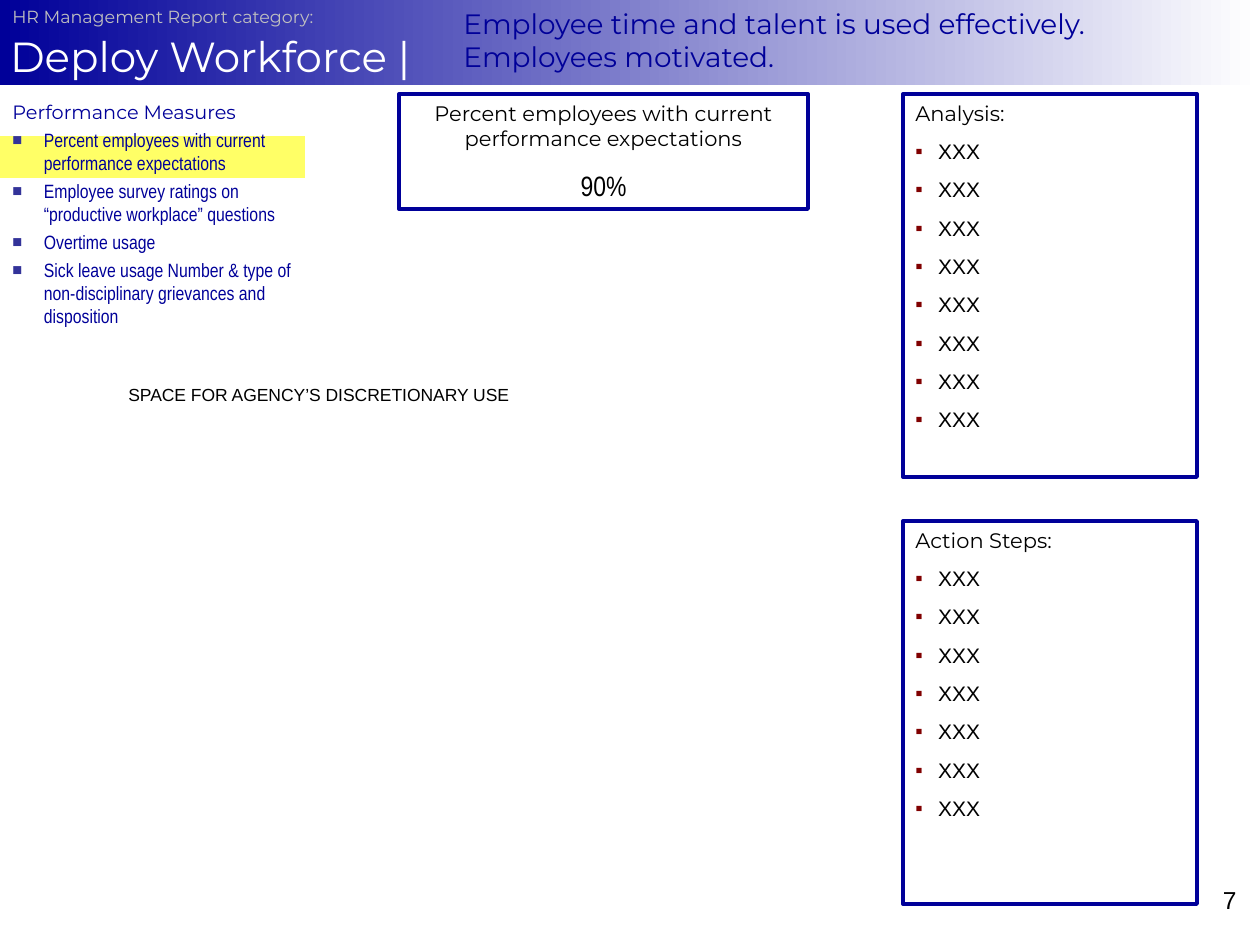
from lxml import etree
from pptx import Presentation
from pptx import util as u
from pptx.dml.color import RGBColor
from pptx.enum import shapes, text
from pptx.oxml.ns import qn

PX = u.Inches(1) / 126
COLORS = {
    "navy": "000099", "white": "FFFFFF", "silver": "C0C0C0", "black": "000000",
    "yellow": "FFFF66", "indigo": "333399", "maroon": "800000",
}
HEADING, BODY, NARROW = "Montserrat", "Arial", "Arial Narrow"


def px(length):
    return u.Emu(round(length * PX))


def rgb(name):
    return RGBColor.from_string(COLORS[name])


class Sheet:
    def __init__(self, prs):
        self.slide = prs.slides.add_slide(prs.slide_layouts[6])

    def rectangle(self, box, fill=None, gradient=None, line=None):
        rect = self.slide.shapes.add_shape(
            shapes.MSO_SHAPE.RECTANGLE, *map(px, box))
        rect.shadow.inherit = False
        if gradient:
            rect.fill.gradient()
            rect.fill.gradient_angle = 180
            for stop, name in zip(rect.fill.gradient_stops, gradient):
                stop.color.rgb = rgb(name)
        elif fill:
            rect.fill.solid()
            rect.fill.fore_color.rgb = rgb(fill)
        else:
            rect.fill.background()
        if line:
            rect.line.color.rgb = rgb(line)
            rect.line.width = u.Pt(2.25)
        else:
            rect.line.fill.background()
        return self.frame(rect)

    def textbox(self, box):
        return self.frame(self.slide.shapes.add_textbox(*map(px, box)))

    def frame(self, shape, side=0.1, top=0.05):
        body = shape.text_frame
        body.word_wrap = True
        body.auto_size = text.MSO_AUTO_SIZE.NONE
        body.vertical_anchor = text.MSO_ANCHOR.TOP
        body.margin_left = body.margin_right = u.Inches(side)
        body.margin_top = body.margin_bottom = u.Inches(top)
        return body

    def paragraph(self, body, words, size, font, color="black", before=0,
                  align=text.PP_ALIGN.LEFT, indent=0, bullet=None):
        first = not body.paragraphs[0].runs
        para = body.paragraphs[0] if first else body.add_paragraph()
        para.alignment = align
        para.space_before = u.Pt(0 if first else before)
        props = para._p.get_or_add_pPr()
        if indent:
            props.set("marL", str(u.Inches(indent)))
            props.set("indent", str(-u.Inches(indent)))
        if bullet:
            sign, sign_color, percent = bullet
            holder = etree.SubElement(props, qn("a:buClr"))
            etree.SubElement(holder, qn("a:srgbClr"), val=COLORS[sign_color])
            etree.SubElement(props, qn("a:buSzPct"), val=str(percent * 1000))
            etree.SubElement(props, qn("a:buFont"), typeface=BODY)
            etree.SubElement(props, qn("a:buChar"), char=sign)
        run = para.add_run()
        run.text = words
        run.font.size = u.Pt(size)
        run.font.name = font
        run.font.color.rgb = rgb(color)
        return para

    def label(self, box, words, size, font, color="black", **layout):
        self.paragraph(self.textbox(box), words, size, font, color, **layout)

    def panel(self, box, heading, items):
        body = self.rectangle(box, line="navy")
        self.paragraph(body, heading, 12, HEADING, indent=0.18)
        for item in items:
            self.paragraph(body, item, 12, BODY, before=7.5, indent=0.18,
                           bullet=("▪", "maroon", 100))

    def measures(self, box, heading, items):
        body = self.textbox(box)
        self.paragraph(body, heading, 11, HEADING, "navy", indent=0.25)
        for item in items:
            self.paragraph(body, item, 11, NARROW, "navy", before=2.8,
                           indent=0.25, bullet=("■", "indigo", 85))

    def banner(self, box, title):
        body = self.rectangle(box, gradient=("white", "navy"))
        body.margin_left = body.margin_right = u.Inches(0.08)
        body.margin_top = body.margin_bottom = u.Inches(0.04)
        heading = self.paragraph(body, title, 24, HEADING, "white")
        heading.line_spacing = 1.5

    def result(self, box, measure, value):
        body = self.rectangle(box, line="navy")
        center = text.PP_ALIGN.CENTER
        self.paragraph(body, measure, 12, HEADING, align=center)
        self.paragraph(body, value, 16, NARROW, before=10, align=center)


def main():
    prs = Presentation()
    prs.slide_width, prs.slide_height = px(1260), px(945)
    sheet = Sheet(prs)

    current_measure = "Percent employees with current performance expectations"
    sheet.rectangle((0, 136, 305, 42), fill="yellow")
    sheet.measures((0, 94, 305, 262), "Performance Measures", [
        current_measure,
        "Employee survey ratings on “productive workplace” questions",
        "Overtime usage",
        "Sick leave usage Number & type of non-disciplinary grievances "
        "and disposition",
    ])

    sheet.banner((0, 0, 1260, 85), "Deploy Workforce |")
    sheet.label((451, 0, 766, 81),
                "Employee time and talent is used effectively. "
                "Employees motivated.", 16, HEADING, "navy")
    sheet.label((0, 0, 378, 34), "HR Management Report category:",
                10, HEADING, "silver")

    sheet.result((399, 94, 409, 115), current_measure, "90%")
    sheet.label((116, 378, 514, 34), "SPACE FOR AGENCY’S DISCRETIONARY USE",
                10, BODY)

    for top, heading, count in ((94, "Analysis:", 8), (521, "Action Steps:", 7)):
        sheet.panel((903, top, 294, 383), heading, ["XXX"] * count)

    sheet.label((955, 879, 294, 66), "7", 14, BODY, align=text.PP_ALIGN.RIGHT)
    prs.save("out.pptx")


if __name__ == "__main__":
    main()
